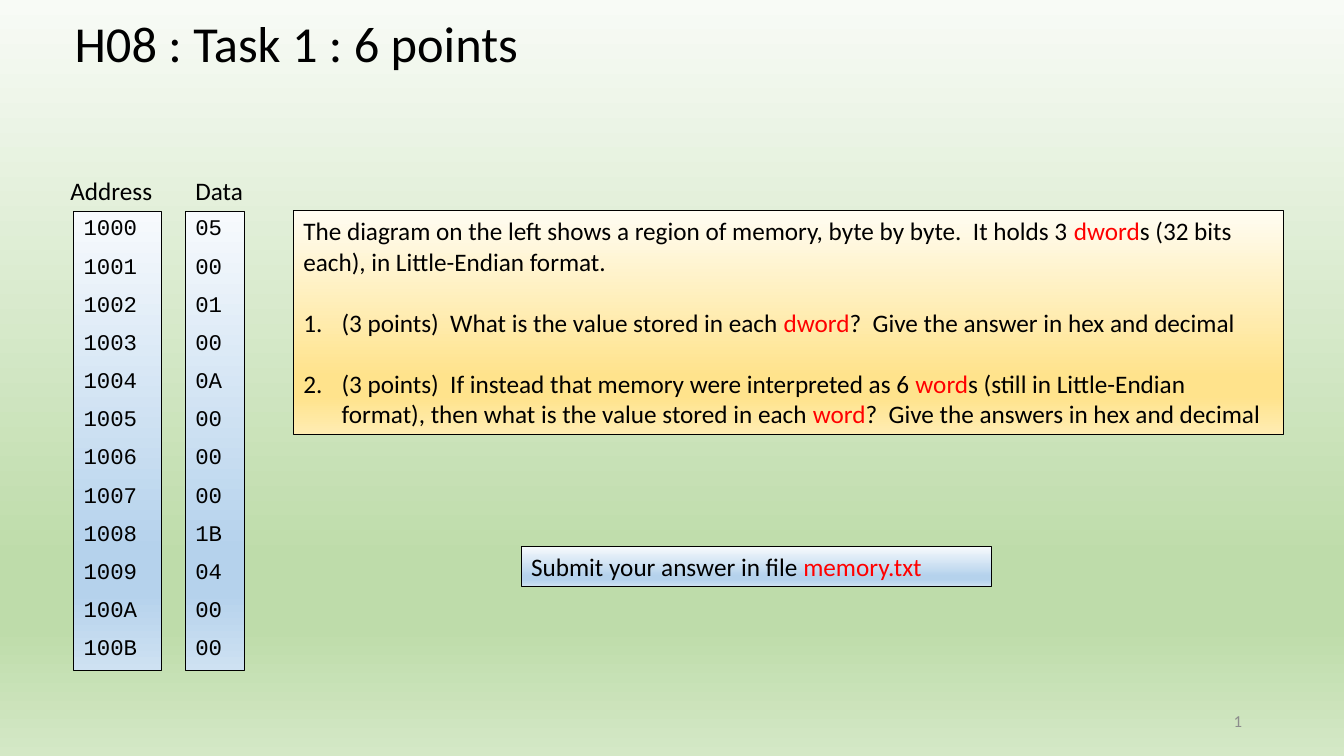
from dataclasses import dataclass
from typing import Any

from lxml import etree
from pptx import Presentation
from pptx import util as u
from pptx.dml.color import RGBColor
from pptx.enum import shapes, text
from pptx.oxml import ns

COLORS = {"black": "000000", "red": "FF0000", "gray": "8C8C8C"}
GRADIENTS = {
    "green": ["F8FBF6", "BEDCAA", "BEDCAA", "D4E8C6"],
    "blue": ["F7FAFD", "B5D2EC", "B5D2EC", "CEE1F2"],
    "gold": ["FFFCF2", "FFE38C", "FFE38C", "FFECB2"],
}
STOPS = (0, 74, 83, 100)  # percent along each gradient
MEMORY = "05 00 01 00 0A 00 00 00 1B 04 00 00".split()
ADDRESSES = [f"{0x1000 + i:X}" for i in range(len(MEMORY))]
PARAGRAPH_GAP = 22  # points, one line of body text


@dataclass
class Box:
    """A rectangle in percent of the slide's width and height."""
    left: float
    top: float
    width: float
    height: float

    def emu(self) -> tuple[int, ...]:
        """Return left, top, width and height in slide units."""
        sides = (prs.slide_width, prs.slide_height) * 2
        shares = (self.left, self.top, self.width, self.height)
        return tuple(round(side * share / 100) for side, share in zip(sides, shares))


@dataclass
class MemoryColumn:
    """A heading above a column of memory cells."""
    heading: str
    heading_left: float
    heading_width: float
    left: float
    width: float
    cells: list[str]


def paint_gradient(fill: Any, parent: Any, name: str) -> None:
    """Give a fill a named gradient that runs from top to bottom."""
    fill.gradient()
    fill.gradient_angle = 270
    stops = parent.find(".//" + ns.qn("a:gsLst"))
    for old in list(stops):
        stops.remove(old)
    for pos, color in zip(STOPS, GRADIENTS[name]):
        stop = etree.SubElement(stops, ns.qn("a:gs"), pos=str(pos * 1000))
        etree.SubElement(stop, ns.qn("a:srgbClr"), val=color)


def write(p: Any, content: str, *, size: float = 18, font: str = "Calibri",
          color: str = "black") -> None:
    """Add text to a paragraph; parts between asterisks are red."""
    for i, part in enumerate(content.split("*")):
        if part:
            r = p.add_run()
            r.text = part
            r.font.size, r.font.name = u.Pt(size), font
            r.font.color.rgb = RGBColor.from_string(COLORS["red" if i % 2 else color])


def indent(p: Any, inches: float, numbered: bool = False) -> None:
    """Set a hanging indent, with an automatic number if asked."""
    props = p._p.get_or_add_pPr()
    props.set("marL", str(u.Inches(inches)))
    props.set("indent", str(-u.Inches(inches)))
    if numbered:
        etree.SubElement(props, ns.qn("a:buAutoNum"), type="arabicPeriod")


def prepare(sp: Any, anchor: Any = text.MSO_ANCHOR.TOP) -> Any:
    """Set wrapping and anchoring, and return the text frame."""
    tf = sp.text_frame
    tf.word_wrap, tf.auto_size = True, text.MSO_AUTO_SIZE.NONE
    tf.vertical_anchor = anchor
    tf.paragraphs[0].alignment = text.PP_ALIGN.LEFT
    return tf


def add_label(box: Box, content: str) -> None:
    """Add a plain text box."""
    write(prepare(s.shapes.add_textbox(*box.emu())).paragraphs[0], content)


def add_panel(box: Box, gradient: str) -> Any:
    """Add a gradient rectangle with a thin outline; return its text frame."""
    sp = s.shapes.add_shape(shapes.MSO_SHAPE.RECTANGLE, *box.emu())
    sp.shadow.inherit = False
    paint_gradient(sp.fill, sp._element, gradient)
    sp.line.color.rgb = RGBColor.from_string(COLORS["black"])
    sp.line.width = u.Pt(0.75)
    return prepare(sp)


def next_paragraph(tf: Any, index: int) -> Any:
    """Return the first paragraph, or add a left-aligned one."""
    p = tf.add_paragraph() if index else tf.paragraphs[0]
    p.alignment = text.PP_ALIGN.LEFT
    return p


def add_memory(column: MemoryColumn) -> None:
    """Draw a memory column and its heading."""
    add_label(Box(column.heading_left, 22.53, column.heading_width, 5.33), column.heading)
    tf = add_panel(Box(column.left, 28, column.width, 60.67), "blue")
    for i, cell in enumerate(column.cells):
        p = next_paragraph(tf, i)
        p.line_spacing, p.space_before = 0.9, u.Pt(10)
        indent(p, 0.25)
        write(p, cell, size=16, font="Courier New")


def add_task(box: Box, intro: str, questions: list[str]) -> None:
    """Draw the task panel: an introduction and numbered questions."""
    tf = add_panel(box, "gold")
    for i, content in enumerate([intro, *questions]):
        p = next_paragraph(tf, i)
        if i:
            p.space_before = u.Pt(PARAGRAPH_GAP)
            indent(p, 0.38, numbered=True)
        write(p, content)


def add_slide_number(box: Box) -> None:
    """Add the slide number as a live field."""
    tf = prepare(s.shapes.add_textbox(*box.emu()), text.MSO_ANCHOR.MIDDLE)
    p = tf.paragraphs[0]
    p.alignment = text.PP_ALIGN.RIGHT
    write(p, "1", size=12, color="gray")
    run = p.runs[0]._r
    field = etree.SubElement(p._p, ns.qn("a:fld"), type="slidenum",
                             id="{B6F15528-21DE-4FAA-801E-634DDDAF4B2B}")
    field.extend(list(run))
    p._p.remove(run)


prs = Presentation()
prs.slide_width, prs.slide_height = u.Inches(13.33), u.Inches(7.5)
s = prs.slides.add_slide(prs.slide_layouts[5])
paint_gradient(s.background.fill, s._element, "green")

title = s.shapes.title
title.left, title.top, title.width, title.height = Box(4.8, 0.93, 85.45, 9.47).emu()
write(prepare(title).paragraphs[0], "H08 : Task 1 : 6 points", size=36)

add_slide_number(Box(70.67, 92.67, 22.5, 5.33))
write(add_panel(Box(38.78, 72.27, 35.03, 5.33), "blue").paragraphs[0],
      "Submit your answer in file *memory.txt*")
add_task(
    Box(21.83, 27.87, 73.67, 29.6),
    "The diagram on the left shows a region of memory, byte by byte.  "
    "It holds 3 *dword*s (32 bits each), in Little-Endian format.",
    ["(3 points)  What is the value stored in each *dword*?  "
     "Give the answer in hex and decimal",
     "(3 points)  If instead that memory were interpreted as 6 *word*s "
     "(still in Little-Endian format), then what is the value stored in "
     "each *word*?  Give the answers in hex and decimal"],
)
for memory_column in (
    MemoryColumn("Address", 4.5, 8.55, 5.48, 6.53, ADDRESSES),
    MemoryColumn("Data", 13.8, 6.75, 13.8, 4.43, MEMORY),
):
    add_memory(memory_column)

prs.save("out.pptx")
